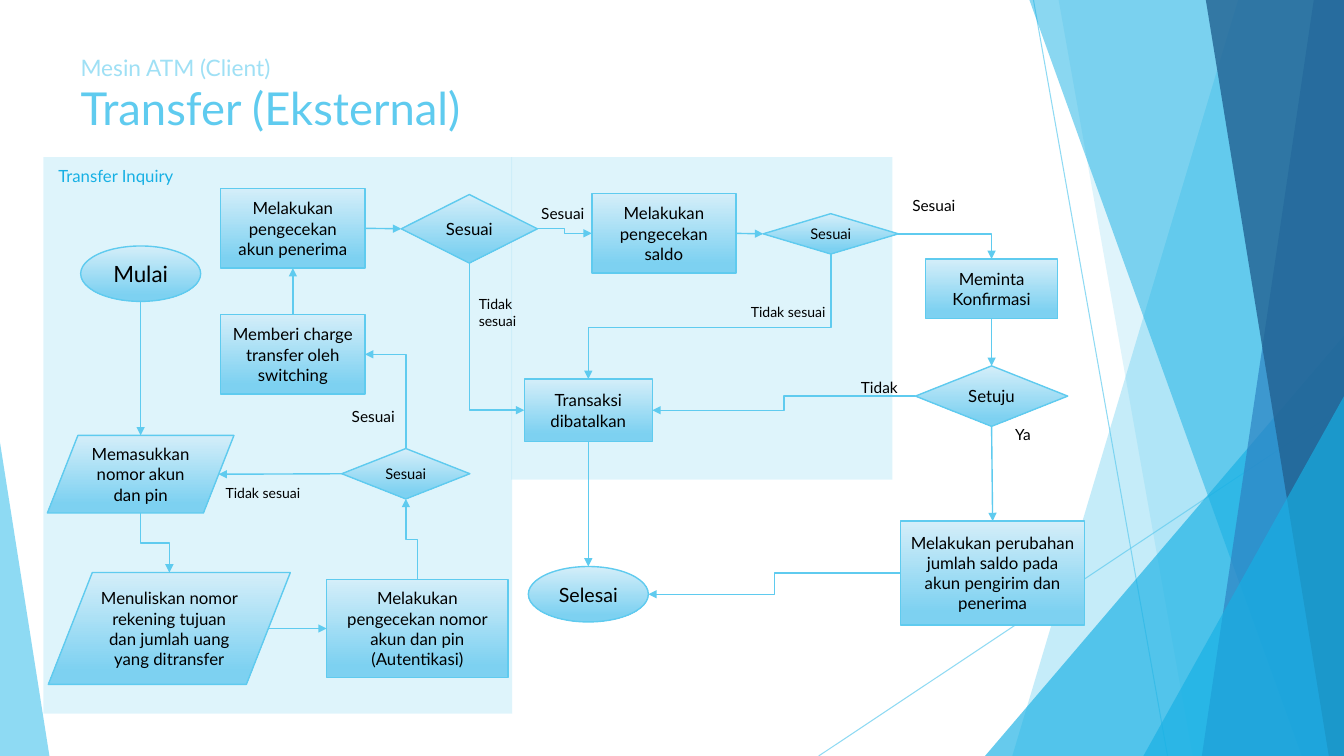
from lxml.etree import SubElement
from pptx import Presentation
from pptx.dml.color import RGBColor
from pptx.enum.shapes import MSO_CONNECTOR, MSO_SHAPE
from pptx.enum.text import MSO_ANCHOR, MSO_AUTO_SIZE, PP_ALIGN
from pptx.oxml.ns import qn
from pptx.util import Pt

PX = 9144
WIDTH, HEIGHT = 1333, 750
SLANT = 0.393

SKY = RGBColor(0x5F, 0xCB, 0xEF)
PALE_SKY = RGBColor(0x9F, 0xE0, 0xF5)
PANEL = RGBColor(0xBF, 0xEA, 0xF9)
CYAN = RGBColor(0x17, 0xB0, 0xE4)
BLUE = RGBColor(0x2E, 0x83, 0xC3)
NAVY = RGBColor(0x22, 0x62, 0x92)
NODE_TOP = RGBColor(0xD4, 0xEE, 0xF9)
NODE_BOTTOM = RGBColor(0x7D, 0xD1, 0xF1)
BLACK = RGBColor(0, 0, 0)

RECT, OVAL, DIAMOND = MSO_SHAPE.RECTANGLE, MSO_SHAPE.OVAL, MSO_SHAPE.DIAMOND
INPUT, TRIANGLE = MSO_SHAPE.PARALLELOGRAM, MSO_SHAPE.ISOSCELES_TRIANGLE

RAYS = [(1025, 0, 1158, 750), (1333, 403, 812, 750)]
FACETS = [
    ("band", (1228, 1004), SKY, 36),
    ("band", (1050, 1183), SKY, 20),
    ("triangle", (977, 333, 356, 417, 1), CYAN, 66),
    ("band", (1021, 1291), CYAN, 50),
    ("band", (1303, 1192), BLUE, 70),
    ("band", (1196, 1318), NAVY, 80),
    ("triangle", (1134, 393, 199, 357, 1), CYAN, 66),
    ("triangle", (0, 439, 49, 311, 0), SKY, 70),
]
PANELS = [(507, 156, 378, 320), (43, 156, 465, 552)]
TITLE_BOX = (70, 48, 459, 111)
TITLE_LINES = [("Mesin ATM (Client)", 16.2, PALE_SKY), ("Transfer (Eksternal)", 32.4, SKY)]
NODES = {
    "start": (OVAL, (80, 244, 119, 55), "Mulai", 16),
    "end": (OVAL, (524, 562, 119, 55), "Selesai", 14),
    "update": (RECT, (893, 517, 183, 103),
               "Melakukan perubahan jumlah saldo pada akun pengirim dan penerima", 12),
    "pin": (INPUT, (47, 432, 185, 77), "Memasukkan nomor akun dan pin", 12),
    "target": (INPUT, (48, 568, 240, 111),
               "Menuliskan nomor rekening tujuan dan jumlah uang yang ditransfer", 12),
    "pin ok": (DIAMOND, (339, 445, 127, 50), "Sesuai", 10.5),
    "account ok": (DIAMOND, (398, 193, 135, 68), "Sesuai", 12),
    "charge": (RECT, (219, 312, 143, 79), "Memberi charge transfer oleh switching", 12),
    "balance ok": (DIAMOND, (757, 212, 134, 40), "Sesuai", 10.5),
    "cancel": (RECT, (520, 376, 127, 62), "Transaksi dibatalkan", 12),
    "confirm": (RECT, (918, 257, 131, 59), "Meminta Konfirmasi", 12),
    "agree": (DIAMOND, (908, 363, 151, 60), "Setuju", 12),
    "verify": (RECT, (324, 575, 180, 97),
               "Melakukan pengecekan nomor akun dan pin\n(Autentikasi)", 12),
    "account": (RECT, (219, 187, 143, 79), "Melakukan pengecekan akun penerima", 12),
    "balance": (RECT, (587, 192, 143, 79), "Melakukan pengecekan saldo", 12),
}
ARROWS = [
    ("start", "bottom", "pin", "top"), ("pin", "bottom", "target", "top"),
    ("target", "right", "verify", "left"), ("verify", "top", "pin ok", "bottom"),
    ("pin ok", "left", "pin", "right"), ("pin ok", "top", "charge", "right"),
    ("charge", "top", "account", "bottom"), ("account", "right", "account ok", "left"),
    ("account ok", "bottom", "cancel", "left"), ("account ok", "right", "balance", "left"),
    ("balance", "right", "balance ok", "left"), ("balance ok", "bottom", "cancel", "top", 0.59),
    ("balance ok", "right", "confirm", "top"), ("confirm", "bottom", "agree", "top"),
    ("agree", "left", "cancel", "right"), ("agree", "bottom", "update", "top"),
    ("update", "left", "end", "right"), ("cancel", "bottom", "end", "top"),
]
LABELS = [
    ((339, 399, 63, 29), "Sesuai", 11, BLACK),
    ((214, 476, 97, 27), "Tidak sesuai", 10, BLACK),
    ((465, 288, 59, 44), "Tidak\nsesuai", 10, BLACK),
    ((527, 198, 63, 29), "Sesuai", 11, BLACK),
    ((735, 296, 97, 27), "Tidak sesuai", 10, BLACK),
    ((895, 190, 63, 29), "Sesuai", 11, BLACK),
    ((997, 417, 37, 29), "Ya", 11, BLACK),
    ((844, 370, 58, 29), "Tidak", 11, BLACK),
    ((48, 160, 138, 30), "Transfer Inquiry", 12, CYAN),
]
SIDES = ["top", "left", "bottom", "right"]

def emu(*lengths):
    return [round(length * PX) for length in lengths]

def set_alpha(shape, percent):
    color = next(shape._element.spPr.iter(qn("a:srgbClr")))
    SubElement(color, qn("a:alpha")).set("val", str(percent * 1000))

def style_span(span, size, color):
    span.font.name, span.font.size = "Lato", Pt(size)
    span.font.color.rgb = color

def paint(shape, color, alpha):
    shape.shadow.inherit = False
    shape.fill.solid()
    shape.fill.fore_color.rgb = color
    shape.line.fill.background()
    set_alpha(shape, alpha)

def style_line(connector, width):
    connector.line.color.rgb = SKY
    connector.line.width = Pt(width)
    SubElement(connector._element.spPr, qn("a:effectLst"))

def add_facet(page, kind, place, color, alpha):
    if kind == "band":
        builder = page.shapes.build_freeform(place[0], 0, scale=PX)
        builder.add_line_segments([(WIDTH, 0), (WIDTH, HEIGHT), (place[1], HEIGHT)])
        shape = builder.convert_to_shape()
    else:
        shape = page.shapes.add_shape(TRIANGLE, *emu(*place[:4]))
        shape.adjustments[0] = place[4]
    paint(shape, color, alpha)

def add_node(page, kind, box, text, size):
    shape = page.shapes.add_shape(kind, *emu(*box))
    shape.shadow.inherit = False
    if kind == INPUT:
        shape.adjustments[0] = SLANT
    shape.fill.gradient()
    shape.fill.gradient_angle = 270
    for stop, color, position in zip(shape.fill.gradient_stops, (NODE_TOP, NODE_BOTTOM), (0, 0.88)):
        stop.color.rgb, stop.position = color, position
    shape.line.color.rgb, shape.line.width = SKY, Pt(1)
    frame = shape.text_frame
    frame.text, frame.word_wrap = text, True
    frame.vertical_anchor = MSO_ANCHOR.MIDDLE
    for para in frame.paragraphs:
        para.alignment = PP_ALIGN.CENTER
        style_span(para.runs[0], size, BLACK)
    return shape

def port(name, side):
    kind, (left, top, width, height) = NODES[name][:2]
    inset = SLANT * height / 2 if kind == INPUT else 0
    x = {"left": left + inset, "right": left + width - inset}.get(side, left + width / 2)
    y = {"top": top, "bottom": top + height}.get(side, top + height / 2)
    return x, y

def bend(connector, start, finish, vertical, corner, middle):
    across, down = finish[0] - start[0], finish[1] - start[1]
    width, height = abs(across), abs(down)
    if vertical:
        width, height = height, width
        turn = 90 if down > 0 and across < 0 else 270
        flips = (down > 0 and across > 0, down < 0 and across < 0)
    else:
        turn = 0 if across > 0 else 180
        flips = (False, (across > 0) != (down > 0))
    connector.left, connector.top, connector.width, connector.height = emu(
        (start[0] + finish[0] - width) / 2, (start[1] + finish[1] - height) / 2, width, height)
    frame = connector._element.spPr.find(qn("a:xfrm"))
    for key, value in zip(("rot", "flipH", "flipV"), (turn * 60000, *flips)):
        frame.set(key, str(int(value)))
    geometry = connector._element.spPr.find(qn("a:prstGeom"))
    if corner:
        geometry.set("prst", "bentConnector2")
    else:
        guide = SubElement(geometry.find(qn("a:avLst")), qn("a:gd"))
        guide.set("name", "adj1")
        guide.set("fmla", f"val {round(middle * 100000)}")

def add_arrow(page, shapes, source, source_side, goal, goal_side, middle=0.5):
    start, finish = port(source, source_side), port(goal, goal_side)
    straight = min(abs(start[0] - finish[0]), abs(start[1] - finish[1])) <= 1
    kind = MSO_CONNECTOR.STRAIGHT if straight else MSO_CONNECTOR.ELBOW
    connector = page.shapes.add_connector(kind, *emu(*start, *finish))
    for name, side, attach in ((source, source_side, connector.begin_connect),
                               (goal, goal_side, connector.end_connect)):
        if NODES[name][0] in (RECT, DIAMOND):
            attach(shapes[name], SIDES.index(side))
    if not straight:
        vertical = source_side in ("top", "bottom")
        corner = vertical != (goal_side in ("top", "bottom"))
        bend(connector, start, finish, vertical, corner, middle)
    style_line(connector, 1)
    outline = connector._element.spPr.find(qn("a:ln"))
    SubElement(outline, qn("a:tailEnd")).set("type", "triangle")

def add_label(page, box, text, size, color):
    frame = page.shapes.add_textbox(*emu(*box)).text_frame
    frame.text, frame.word_wrap = text, False
    frame.auto_size = MSO_AUTO_SIZE.SHAPE_TO_FIT_TEXT
    for para in frame.paragraphs:
        style_span(para.runs[0], size, color)

deck = Presentation()
deck.slide_width, deck.slide_height = emu(WIDTH, HEIGHT)
page = deck.slides.add_slide(deck.slide_layouts[6])
for ray in RAYS:
    line = page.shapes.add_connector(MSO_CONNECTOR.STRAIGHT, *emu(*ray))
    style_line(line, 0.75)
    set_alpha(line, 70)
for facet in FACETS:
    add_facet(page, *facet)
for box in PANELS:
    paint(page.shapes.add_shape(RECT, *emu(*box)), PANEL, 50)
title = page.shapes.add_textbox(*emu(*TITLE_BOX)).text_frame
title.word_wrap = True
title.text = "\v".join(text for text, size, color in TITLE_LINES)
for span, (text, size, color) in zip(title.paragraphs[0].runs, TITLE_LINES):
    style_span(span, size, color)
shapes = {name: add_node(page, *node) for name, node in NODES.items()}
for arrow in ARROWS:
    add_arrow(page, shapes, *arrow)
for label in LABELS:
    add_label(page, *label)
deck.save("out.pptx")
